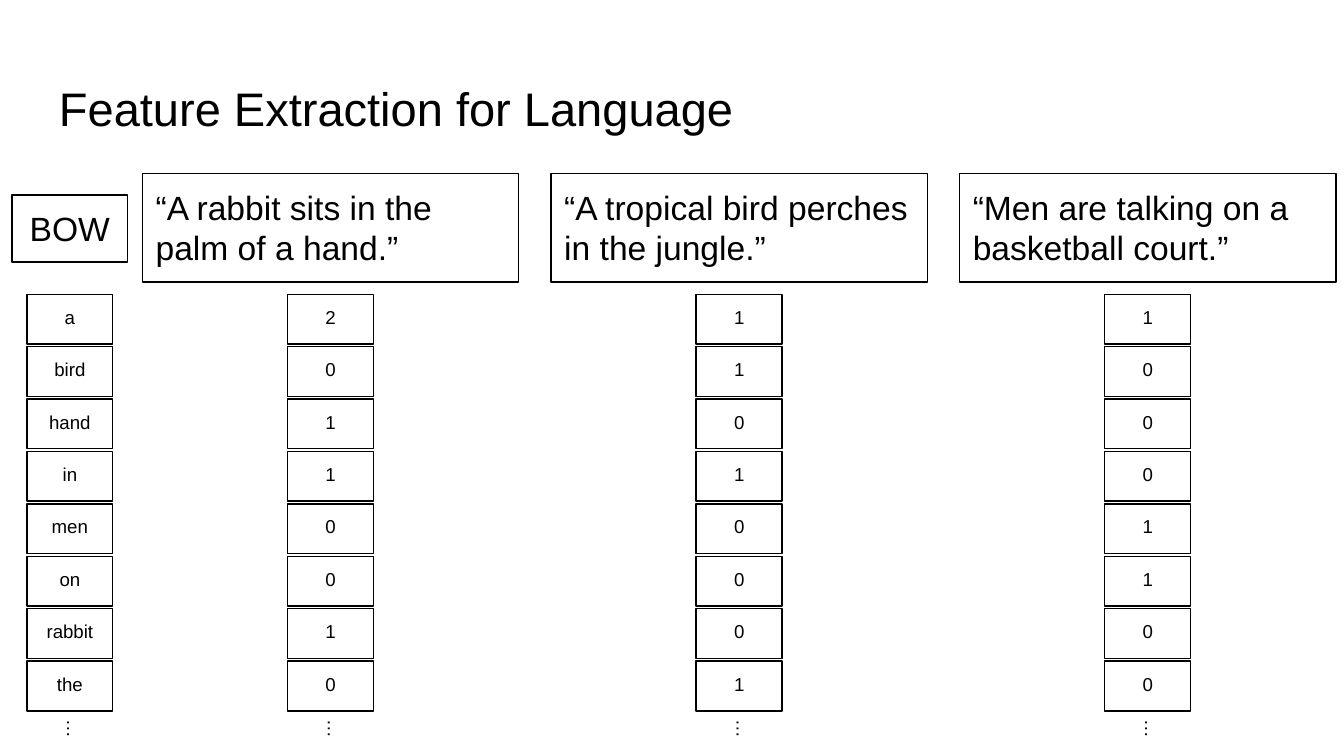
from dataclasses import dataclass

import pptx
import pptx.dml.color
import pptx.enum.shapes
import pptx.enum.text
import pptx.util

Inches = pptx.util.Inches
ALIGN = pptx.enum.text.PP_ALIGN
ANCHOR = pptx.enum.text.MSO_ANCHOR


@dataclass(frozen=True)
class Theme:
    font: str = "Arial"
    ink: str = "000000"
    title_size: float = 25.2
    sentence_size: float = 18
    cell_size: float = 10
    line_width: float = 0.75
    inset: float = 0.1


WORDS = ["a", "bird", "hand", "in", "men", "on", "rabbit", "the"]
SENTENCES = [
    ("“A rabbit sits in the palm of a hand.”", [2, 0, 1, 1, 0, 0, 1, 0]),
    ("“A tropical bird perches in the jungle.”", [1, 1, 0, 1, 0, 0, 0, 1]),
    ("“Men are talking on a basketball court.”", [1, 0, 0, 0, 1, 1, 0, 0]),
]

SENTENCE_LEFT, SENTENCE_PITCH, SENTENCE_WIDTH = 1.06, 3.04, 2.8
CELL_WIDTH, CELL_HEIGHT = 0.64, 0.37
CELL_TOP, CELL_PITCH = 2.19, 0.39


def write_text(shape, text, *, theme, size, align=ALIGN.LEFT, anchor=ANCHOR.TOP):
    frame = shape.text_frame
    frame.word_wrap = True
    frame.vertical_anchor = anchor
    frame.margin_left = frame.margin_right = Inches(theme.inset)
    frame.margin_top = frame.margin_bottom = Inches(theme.inset)
    paragraph = frame.paragraphs[0]
    paragraph.alignment = align
    run = paragraph.add_run()
    run.text = text
    run.font.name = theme.font
    run.font.size = pptx.util.Pt(size)
    run.font.color.rgb = pptx.dml.color.RGBColor.from_string(theme.ink)


class SlideBuilder:
    def __init__(self, slide, theme):
        self.slide = slide
        self.theme = theme

    def label(self, text, box, *, shapes=None, rotation=0, **text_format):
        """Add text without an outline."""
        shapes = shapes or self.slide.shapes
        shape = shapes.add_textbox(*map(Inches, box))
        shape.rotation = rotation
        write_text(shape, text, theme=self.theme, **text_format)

    def outlined_box(self, text, box, *, shapes=None, **text_format):
        shapes = shapes or self.slide.shapes
        rectangle = pptx.enum.shapes.MSO_SHAPE.RECTANGLE
        shape = shapes.add_shape(rectangle, *map(Inches, box))
        shape.shadow.inherit = False
        shape.fill.background()
        shape.line.color.rgb = pptx.dml.color.RGBColor.from_string(self.theme.ink)
        shape.line.width = pptx.util.Pt(self.theme.line_width)
        write_text(shape, text, theme=self.theme, **text_format)
        shape.text_frame.auto_size = pptx.enum.text.MSO_AUTO_SIZE.SHAPE_TO_FIT_TEXT

    def vector(self, values, left):
        """Add a grouped column of cells that trails off in an ellipsis."""
        shapes = self.slide.shapes.add_group_shape().shapes
        cell_format = {"shapes": shapes, "size": self.theme.cell_size, "align": ALIGN.CENTER}
        for row, value in enumerate(values):
            top = CELL_TOP + row * CELL_PITCH
            self.outlined_box(str(value), (left, top, CELL_WIDTH, CELL_HEIGHT), **cell_format)
        self.label("…", (left + 0.15, 5.24, 0.41, 0.37), rotation=90,
                   anchor=ANCHOR.MIDDLE, **cell_format)


def main():
    presentation = pptx.Presentation()
    presentation.slide_width = Inches(10)
    presentation.slide_height = Inches(10 * 9 / 16)
    theme = Theme()
    builder = SlideBuilder(presentation.slides.add_slide(presentation.slide_layouts[6]), theme)

    builder.label("Feature Extraction for Language", (0.34, 0.49, 9.32, 0.63),
                  size=theme.title_size, anchor=ANCHOR.MIDDLE)
    builder.outlined_box("BOW", (0.09, 1.45, 0.86, 0.5), size=theme.sentence_size,
                         align=ALIGN.CENTER)
    builder.vector(WORDS, 0.2)
    for column, (sentence, counts) in enumerate(SENTENCES):
        left = SENTENCE_LEFT + column * SENTENCE_PITCH
        builder.outlined_box(sentence, (left, 1.29, SENTENCE_WIDTH, 0.81),
                             size=theme.sentence_size)
        builder.vector(counts, left + (SENTENCE_WIDTH - CELL_WIDTH) / 2)

    presentation.save("out.pptx")


if __name__ == "__main__":
    main()
